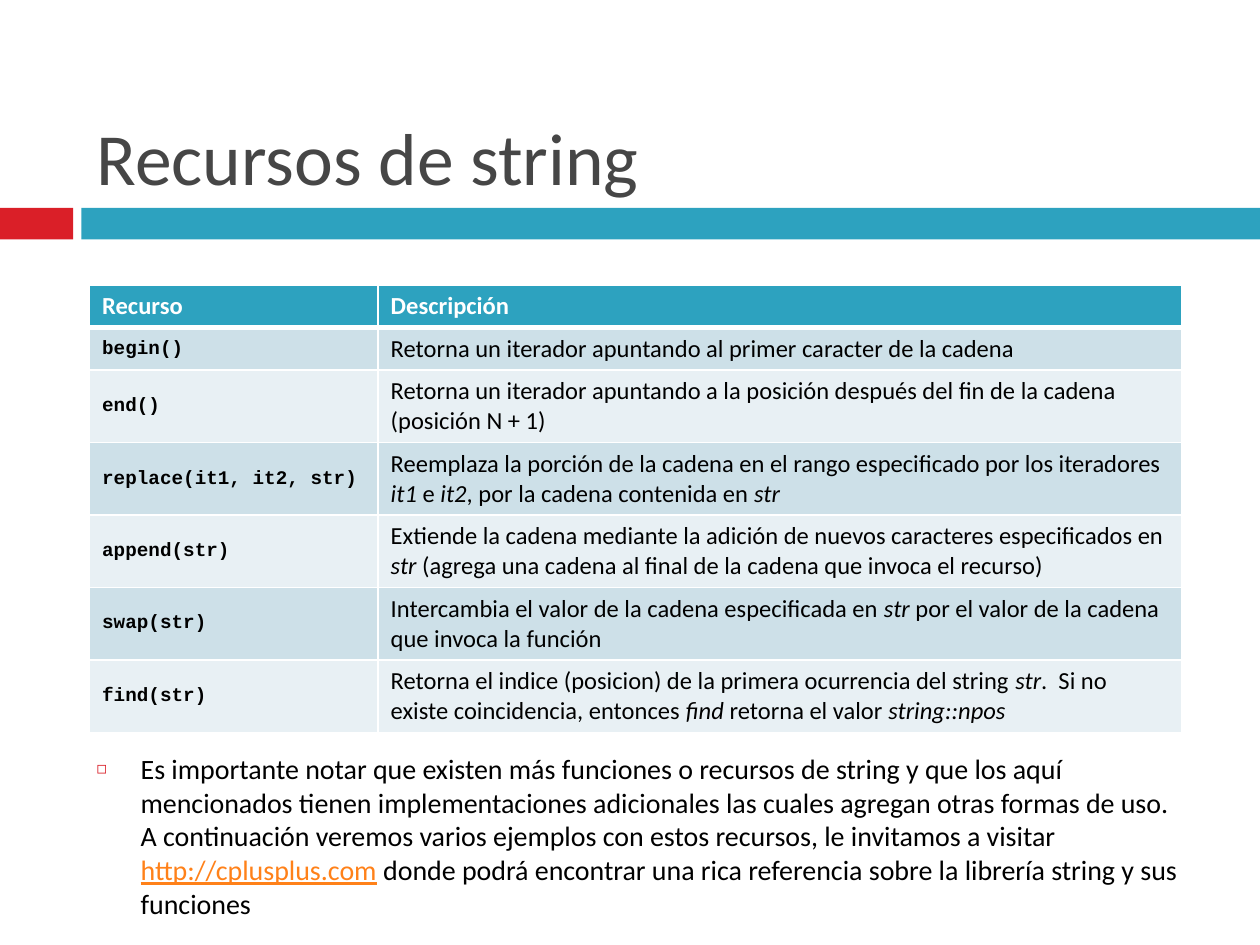
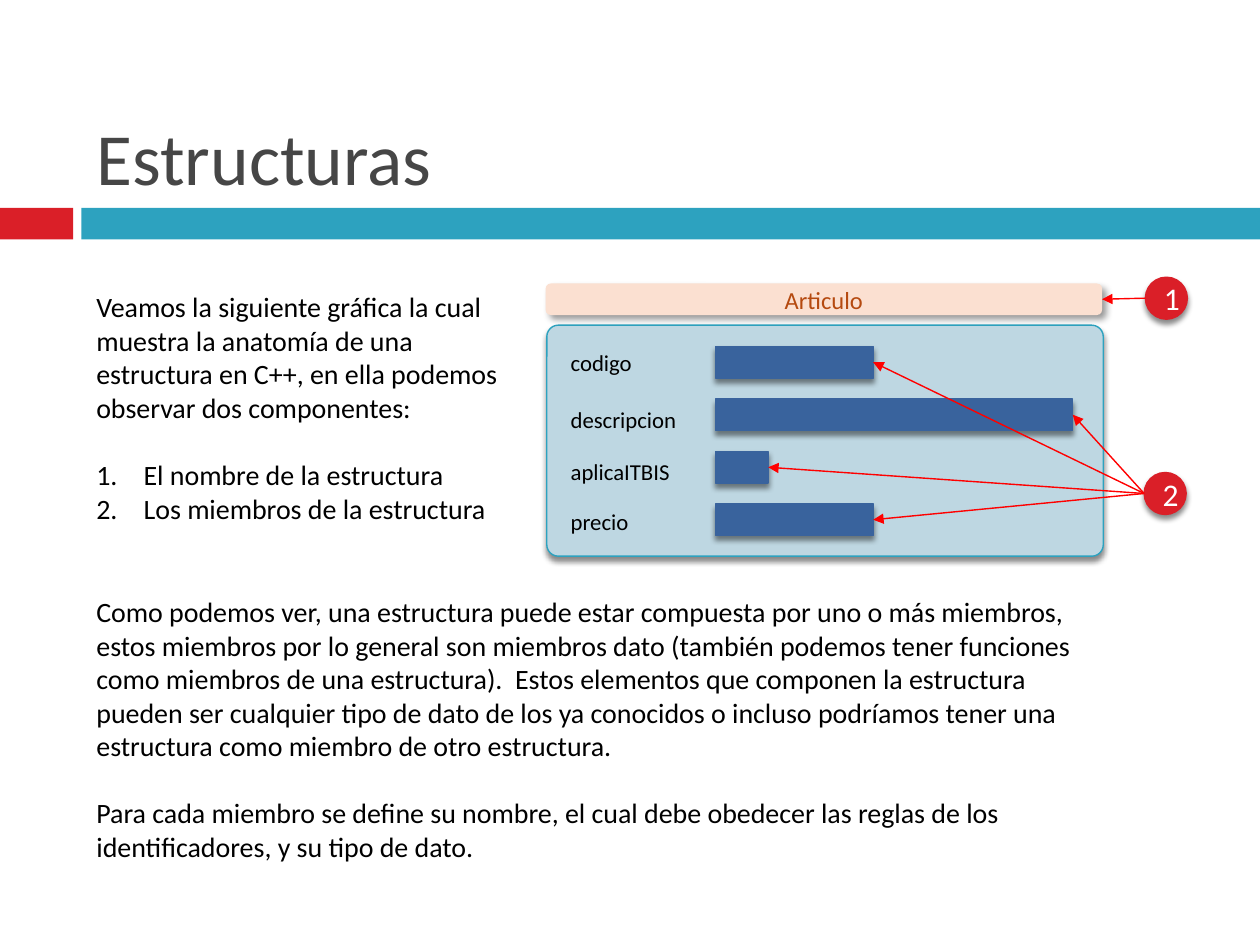
from dataclasses import dataclass
from typing import Optional

from lxml import etree
from pptx import Presentation
from pptx.dml.color import RGBColor
from pptx.enum.shapes import MSO_CONNECTOR, MSO_SHAPE
from pptx.enum.text import MSO_ANCHOR, MSO_AUTO_SIZE, PP_ALIGN
from pptx.oxml.ns import qn
from pptx.util import Pt

RECT = MSO_SHAPE.RECTANGLE
ROUND_RECT = MSO_SHAPE.ROUNDED_RECTANGLE
CIRCLE = MSO_SHAPE.FLOWCHART_CONNECTOR
STRAIGHT = MSO_CONNECTOR.STRAIGHT
LEFT, CENTER = PP_ALIGN.LEFT, PP_ALIGN.CENTER
TOP, MIDDLE, BOTTOM = MSO_ANCHOR.TOP, MSO_ANCHOR.MIDDLE, MSO_ANCHOR.BOTTOM
NO_FIT = MSO_AUTO_SIZE.NONE
RIGHT_SIDE = 3

SLIDE_W, SLIDE_H = 720, 540
MARGIN = 48
CONTENT_W = 642
LINE_H = 19.2
THIN = 0.79
FONT, CODE_FONT = "Calibri", "Courier New"

COLORS = {
    "red": "DA1F28", "teal": "2DA2BF", "title": "464646", "text": "000000",
    "white": "FFFFFF", "link": "FF8119", "row_dark": "CDE0E8",
    "row_light": "E8F0F4", "panel": "BED7E2", "bar": "39639D",
    "name_fill": "FBE0D1", "name_text": "B54A10", "arrow": "FF0000",
}


@dataclass(frozen=True)
class Box:
    left: float
    top: float
    width: float
    height: float

    def emu(self) -> tuple:
        return Pt(self.left), Pt(self.top), Pt(self.width), Pt(self.height)


@dataclass(frozen=True)
class Shadow:
    alpha: int
    blur: float
    dist: float
    angle: int


@dataclass(frozen=True)
class Resource:
    code: str
    description: str
    lines: int = 2


@dataclass(frozen=True)
class Member:
    name: str
    label_top: float
    bar_width: float


SOFT = Shadow(45, 3, 2.4, 90)
DIAGONAL = Shadow(40, 4, 3, 45)

RESOURCES = [
    Resource("begin()", "Retorna un iterador apuntando al primer caracter de la cadena", 1),
    Resource("end()", "Retorna un iterador apuntando a la posición después del fin de la "
             "cadena (posición N + 1)"),
    Resource("replace(it1, it2, str)", "Reemplaza la porción de la cadena en el rango "
             "especificado por los iteradores *it1 *e *it2*, por la cadena contenida en *str*"),
    Resource("append(str)", "Extiende la cadena mediante la adición de nuevos caracteres "
             "especificados en *str* (agrega una cadena al final de la cadena que invoca "
             "el recurso)"),
    Resource("swap(str)", "Intercambia el valor de la cadena especificada en *str *por el "
             "valor de la cadena que invoca la función"),
    Resource("find(str)", "Retorna el indice (posicion) de la primera ocurrencia del string "
             "*str*.  Si no existe coincidencia, entonces *find* retorna el valor "
             "*string::npos*"),
]

MEMBERS = [
    Member("codigo", 195.8, 90),
    Member("descripcion", 228.2, 204),
    Member("aplicaITBIS", 257.8, 30),
    Member("precio", 286.6, 90),
]


def rgb(name: str) -> RGBColor:
    return RGBColor.from_string(COLORS[name])


def add_xml(parent, tag: str, **attrs):
    return etree.SubElement(parent, qn(tag), {k: str(v) for k, v in attrs.items()})


def set_font(font, size: float, color: str = "text", name: str = FONT,
             bold: bool = False) -> None:
    font.name, font.size, font.bold = name, Pt(size), bold
    font.color.rgb = rgb(color)


def set_indent(p, indent: float):
    pPr = p._p.get_or_add_pPr()
    pPr.set("marL", str(Pt(indent)))
    pPr.set("indent", str(Pt(-indent)))
    return pPr


def add_shape(s, kind, box: Box, fill: str, line: Optional[str] = None,
              shadow: Optional[Shadow] = None):
    sp = s.shapes.add_shape(kind, *box.emu())
    sp.fill.solid()
    sp.fill.fore_color.rgb = rgb(fill)
    if line:
        sp.line.color.rgb = rgb(line)
        sp.line.width = Pt(THIN)
    else:
        sp.line.fill.background()
    sp.shadow.inherit = False
    if shadow:
        effects = sp._element.spPr.find(qn("a:effectLst"))
        outer = add_xml(effects, "a:outerShdw", blurRad=Pt(shadow.blur),
                        dist=Pt(shadow.dist), dir=shadow.angle * 60000, rotWithShape=0)
        color = add_xml(outer, "a:srgbClr", val="000000")
        add_xml(color, "a:alpha", val=shadow.alpha * 1000)
    return sp


def write_centered(sp, text: str, size: float, color: str) -> None:
    sp.text_frame.vertical_anchor = MIDDLE
    p = sp.text_frame.paragraphs[0]
    p.text = text
    p.alignment = CENTER
    set_font(p.font, size, color)


def add_text(s, box: Box, paragraphs: list[str], size: float = 16):
    tf = s.shapes.add_textbox(*box.emu()).text_frame
    tf.word_wrap = True
    for i, text in enumerate(paragraphs):
        p = tf.paragraphs[0] if i == 0 else tf.add_paragraph()
        p.text = text
        set_font(p.font, size)
    return tf


def add_arrow(s, circle, target) -> None:
    x, y = circle.left, circle.top + circle.height // 2
    cxn = s.shapes.add_connector(STRAIGHT, x, y, x, y)
    cxn.end_connect(target, RIGHT_SIDE)
    cxn.line.color.rgb = rgb("arrow")
    cxn.line.width = Pt(THIN)
    add_xml(cxn.line._get_or_add_ln(), "a:tailEnd", type="triangle")
    add_xml(cxn._element.spPr, "a:effectLst")


def add_slide(prs, layout: int, title: str):
    s = prs.slides.add_slide(prs.slide_layouts[layout])
    add_shape(s, RECT, Box(0, 118.8, 41.8, 18), "red")
    add_shape(s, RECT, Box(46.5, 118.8, SLIDE_W - 46.5, 18), "teal")
    sp = s.shapes.title
    sp.left, sp.top, sp.width, sp.height = Box(MARGIN, 12, CONTENT_W, 106).emu()
    tf = sp.text_frame
    tf.auto_size = NO_FIT
    tf.vertical_anchor = BOTTOM
    p = tf.paragraphs[0]
    p.text = title
    p.alignment = LEFT
    set_font(p.font, 42, "title")
    return s


def style_cell(cell, fill: str, top: float, bottom: float) -> None:
    tcPr = cell._tc.get_or_add_tcPr()
    for side, width in (("L", 1), ("R", 1), ("T", top), ("B", bottom)):
        ln = add_xml(tcPr, f"a:ln{side}", w=Pt(width))
        add_xml(add_xml(ln, "a:solidFill"), "a:srgbClr", val=COLORS["white"])
    cell.fill.solid()
    cell.fill.fore_color.rgb = rgb(fill)


def write_cell(cell, text: str, size: float, color: str, name: str, bold: bool) -> None:
    p = cell.text_frame.paragraphs[0]
    for i, part in enumerate(text.split("*")):
        if part:
            r = p.add_run()
            r.text = part
            if i % 2:
                r.font.italic = True
    set_font(p.font, size, color, name, bold)


def add_resource_table(s) -> None:
    heights = [24.4] + [24.4 if item.lines == 1 else 41.4 for item in RESOURCES]
    widths = [164.9, 459.4]
    box = Box(51.2, 162.8, sum(widths), sum(heights))
    table = s.shapes.add_table(len(heights), len(widths), *box.emu()).table
    table.horz_banding = False
    for column, width in zip(table.columns, widths):
        column.width = Pt(width)
    for row, height in zip(table.rows, heights):
        row.height = Pt(height)
    for cell, text in zip(table.rows[0].cells, ("Recurso", "Descripción")):
        style_cell(cell, "teal", 1, 3)
        write_cell(cell, text, 14, "white", FONT, True)
    for i, item in enumerate(RESOURCES, start=1):
        code, description = table.rows[i].cells
        for cell in (code, description):
            style_cell(cell, "row_dark" if i % 2 else "row_light", 3 if i == 1 else 1, 1)
            cell.vertical_anchor = MIDDLE
        write_cell(code, item.code, 11, "text", CODE_FONT, True)
        write_cell(description, item.description, 14, "text", FONT, False)


def build_resources(prs) -> None:
    s = add_slide(prs, 1, "Recursos de string")
    add_resource_table(s)
    body = s.placeholders[1]
    body.left, body.top, body.width, body.height = Box(MARGIN, 426, CONTENT_W, 96).emu()
    tf = body.text_frame
    tf.auto_size = NO_FIT
    tf.vertical_anchor = TOP
    p = tf.paragraphs[0]
    pPr = set_indent(p, 25.2)
    add_xml(add_xml(pPr, "a:buClr"), "a:srgbClr", val=COLORS["red"])
    add_xml(pPr, "a:buSzPct", val=60000)
    add_xml(pPr, "a:buChar", char="◻")
    p.space_before = Pt(0)
    set_font(p.font, 16)
    p.add_run().text = (
        "Es importante notar que existen más funciones o recursos de string y que los aquí "
        "mencionados tienen implementaciones adicionales las cuales agregan otras formas de "
        "uso.  A continuación veremos varios ejemplos con estos recursos, le invitamos a "
        "visitar ")
    r = p.add_run()
    r.text = "http://cplusplus.com"
    r.font.underline = True
    r.font.color.rgb = rgb("link")
    p.add_run().text = (" donde podrá encontrar una rica referencia sobre la librería string "
                        "y sus funciones")


def add_badge(s, text: str, left: float, top: float):
    sp = add_shape(s, CIRCLE, Box(left, top, 24, 24), "red", "red", SOFT)
    write_centered(sp, text, 18, "white")
    return sp


def build_structures(prs) -> None:
    s = add_slide(prs, 5, "Estructuras")
    panel = add_shape(s, ROUND_RECT, Box(312.5, 185.8, 318, 132), "panel", "teal", SOFT)
    panel.adjustments[0] = 0.05
    bars = []
    for i, member in enumerate(MEMBERS):
        box = Box(409, 198 + 30 * i, member.bar_width, 18)
        bars.append(add_shape(s, RECT, box, "bar", "bar", SOFT))
        add_text(s, Box(319, member.label_top, 84, 23), [member.name], 13)
    name = add_shape(s, ROUND_RECT, Box(311.8, 162, 318, 18), "name_fill", shadow=DIAGONAL)
    write_centered(name, "Articulo", 14, "name_text")

    tf = add_text(s, Box(MARGIN, 162, 258, 143), [
        "Veamos la siguiente gráfica la cual muestra la anatomía de una estructura en C++, "
        "en ella podemos observar dos componentes:",
        "El nombre de la estructura",
        "Los miembros de la estructura",
    ])
    for p in tf.paragraphs[1:]:
        pPr = set_indent(p, 27)
        pPr.insert(0, add_xml(pPr, "a:buAutoNum", type="arabicPeriod"))
    tf.paragraphs[1].space_before = Pt(LINE_H)

    name_badge = add_badge(s, "1", 654.5, 158.4)
    members_badge = add_badge(s, "2", 653.8, 270)
    add_arrow(s, name_badge, name)
    for bar in reversed(bars):
        add_arrow(s, members_badge, bar)

    tf = add_text(s, Box(MARGIN, 336.2, 588, 163), [
        "Como podemos ver, una estructura puede estar compuesta por uno o más miembros, estos "
        "miembros por lo general son miembros dato (también podemos tener funciones como "
        "miembros de una estructura).  Estos elementos que componen la estructura pueden ser "
        "cualquier tipo de dato de los ya conocidos o incluso podríamos tener una estructura "
        "como miembro de otro estructura.",
        "Para cada miembro se define su nombre, el cual debe obedecer las reglas de los "
        "identificadores, y su tipo de dato.",
    ])
    tf.paragraphs[1].space_before = Pt(LINE_H)


def main() -> None:
    prs = Presentation()
    prs.slide_width, prs.slide_height = Pt(SLIDE_W), Pt(SLIDE_H)
    build_resources(prs)
    build_structures(prs)
    prs.save("out.pptx")


if __name__ == "__main__":
    main()
